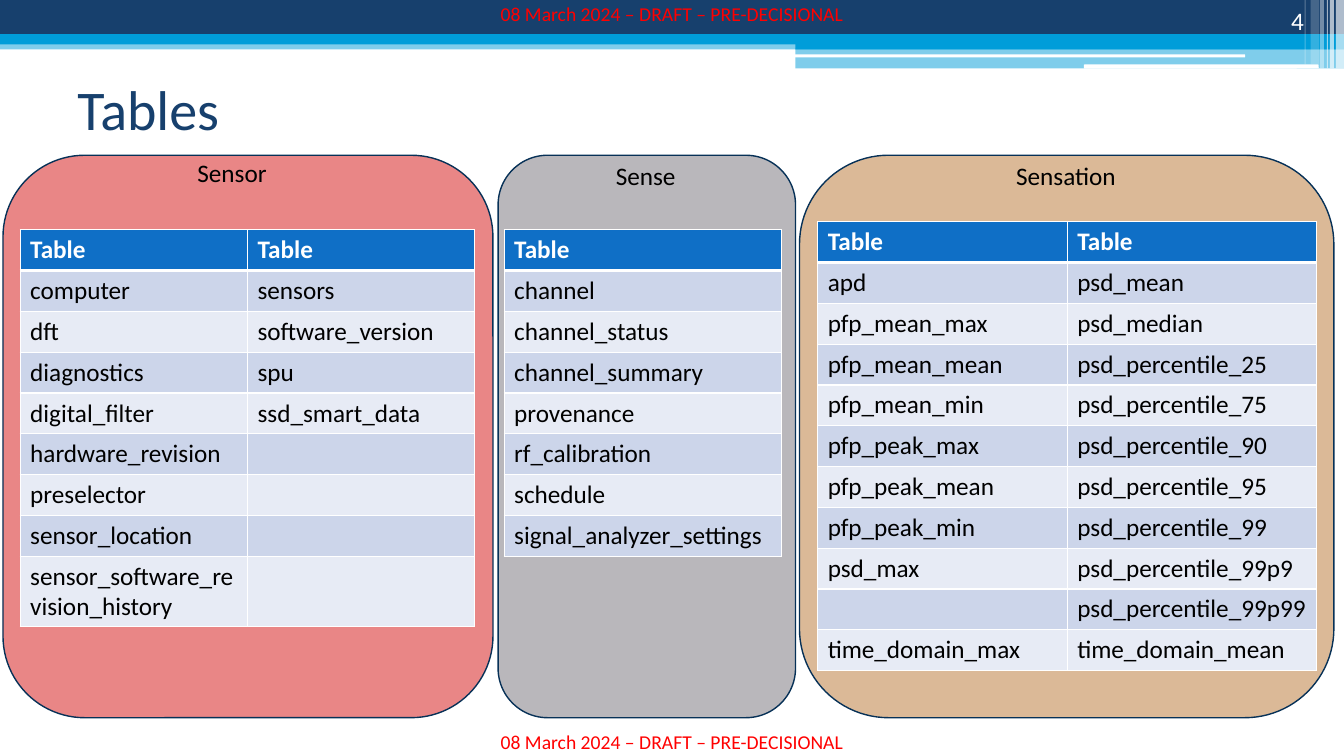
"""Build the slide that lists the database tables of each sensor group."""
import pptx
import pptx.dml.color
import pptx.enum.shapes
import pptx.enum.text
import pptx.oxml
import pptx.oxml.ns
import pptx.util

Inches = pptx.util.Inches
SHAPES = pptx.enum.shapes.MSO_SHAPE
ALIGN = pptx.enum.text.PP_ALIGN
ANCHOR = pptx.enum.text.MSO_ANCHOR

COLORS = {
    "navy": "17406D", "cyan": "009DD9", "white": "FFFFFF", "black": "000000",
    "red": "FF0000", "outline": "073157", "header": "0F6FC6",
    "band_dark": "CCD5EA", "band_light": "E7EBF5",
    "sensor": "D20404", "sense": "6C676F", "sensation": "B46B22",
}
NAMESPACE = pptx.oxml.ns.nsdecls("a")
ROW_HEIGHT = 0.405


class SlideBuilder:
    def __init__(self, slide, font="Calibri"):
        self.slide = slide
        self.font = font

    def color(self, name):
        return pptx.dml.color.RGBColor.from_string(COLORS[name])

    def add_run(self, paragraph, text, size, color, bold=False):
        run = paragraph.add_run()
        run.text = text
        run.font.name = self.font
        run.font.size = pptx.util.Pt(size)
        run.font.bold = bold
        run.font.color.rgb = self.color(color)

    def block(self, box, color, opacity=100, kind=SHAPES.RECTANGLE, outline=None):
        shape = self.slide.shapes.add_shape(kind, *map(Inches, box))
        shape.shadow.inherit = False
        shape.fill.solid()
        shape.fill.fore_color.rgb = self.color(color)
        if opacity < 100:
            fill_color = shape._element.spPr.find(".//" + pptx.oxml.ns.qn("a:srgbClr"))
            fill_color.append(pptx.oxml.parse_xml(
                f'<a:alpha {NAMESPACE} val="{opacity * 1000}"/>'))
        if outline:
            shape.line.color.rgb = self.color(outline)
            shape.line.width = pptx.util.Pt(1)
        else:
            shape.line.fill.background()

    def text(self, box, text, size, color, align=ALIGN.LEFT, anchor=ANCHOR.TOP, wrap=True):
        frame = self.slide.shapes.add_textbox(*map(Inches, box)).text_frame
        frame.word_wrap = wrap
        frame.vertical_anchor = anchor
        frame.paragraphs[0].alignment = align
        self.add_run(frame.paragraphs[0], text, size, color)

    def borders(self, cell, top, bottom):
        properties = cell._tc.get_or_add_tcPr()
        for side, points in (("L", 1), ("R", 1), ("T", top), ("B", bottom)):
            properties.append(pptx.oxml.parse_xml(
                f'<a:ln{side} {NAMESPACE} w="{points * 12700}"><a:solidFill>'
                f'<a:srgbClr val="{COLORS["white"]}"/></a:solidFill></a:ln{side}>'))

    def table(self, left, top, width, columns):
        row_count = max(map(len, columns)) + 1
        table = self.slide.shapes.add_table(
            row_count, len(columns), Inches(left), Inches(top),
            Inches(width), Inches(ROW_HEIGHT * row_count)).table
        for row in table.rows:
            row.height = Inches(ROW_HEIGHT)
        for column_index, names in enumerate(columns):
            table.columns[column_index].width = Inches(width / len(columns))
            padding = [""] * (row_count - 1 - len(names))
            for row_index, name in enumerate(["Table", *names, *padding]):
                header = row_index == 0
                band = "band_dark" if row_index % 2 else "band_light"
                cell = table.cell(row_index, column_index)
                self.borders(cell, 3 if row_index == 1 else 1, 3 if header else 1)
                cell.fill.solid()
                cell.fill.fore_color.rgb = self.color("header" if header else band)
                if name:
                    self.add_run(cell.text_frame.paragraphs[0], name, 18,
                                 "white" if header else "black", header)


BANNER = [
    ((0, 0.4, 13.33, 0.09), "cyan", 50),
    ((0, 0, 13.33, 0.34), "navy", 100),
    ((0, 0.34, 13.33, 0.1), "cyan", 100),
    ((7.89, 0.39, 5.44, 0.1), "cyan", 100),
    ((7.89, 0.48, 5.44, 0.2), "cyan", 50),
    ((7.88, 0.54, 4.47, 0.03), "white", 100, SHAPES.ROUNDED_RECTANGLE),
    ((10.75, 0.64, 2.33, 0.04), "white", 100, SHAPES.ROUNDED_RECTANGLE),
    ((13.25, 0, 0.08, 0.68), "white", 65),
    ((13.19, 0, 0.04, 0.68), "white", 65),
    ((13.16, 0, 0.01, 0.68), "white", 60),
    ((13.09, 0, 0.04, 0.68), "white", 40),
    ((13, 0, 0.08, 0.64), "white", 20),
    ((12.94, 0, 0.01, 0.64), "white", 30),
]

PANELS = [
    ("sensor", 48, 0.03, 4.86),
    ("sense", 47, 4.94, 2.95),
    ("sensation", 47, 7.93, 5.3),
]

LABELS = [
    ("Sensor", (1.86, 1.51, 0.9, 0.4)),
    ("Sense", (6.01, 1.54, 0.8, 0.4)),
    ("Sensation", (9.98, 1.54, 1.2, 0.4)),
]

TABLES = [
    (0.2, 2.28, 4.51, [
        ["computer", "dft", "diagnostics", "digital_filter", "hardware_revision",
         "preselector", "sensor_location", "sensor_software_revision_history"],
        ["sensors", "software_version", "spu", "ssd_smart_data"],
    ]),
    (5, 2.28, 2.75, [
        ["channel", "channel_status", "channel_summary", "provenance",
         "rf_calibration", "schedule", "signal_analyzer_settings"],
    ]),
    (8.11, 2.2, 4.95, [
        ["apd", "pfp_mean_max", "pfp_mean_mean", "pfp_mean_min", "pfp_peak_max",
         "pfp_peak_mean", "pfp_peak_min", "psd_max", "", "time_domain_max"],
        ["psd_mean", "psd_median", "psd_percentile_25", "psd_percentile_75",
         "psd_percentile_90", "psd_percentile_95", "psd_percentile_99",
         "psd_percentile_99p9", "psd_percentile_99p99", "time_domain_mean"],
    ]),
]


def main():
    presentation = pptx.Presentation()
    presentation.slide_width = Inches(13.33)
    presentation.slide_height = Inches(7.5)
    builder = SlideBuilder(presentation.slides.add_slide(presentation.slide_layouts[6]))

    for bar in BANNER:
        builder.block(*bar)
    for top in (-0.03, 7.19):
        builder.text((3.87, top, 5.59, 0.34), "08 March 2024 – DRAFT – PRE-DECISIONAL",
                     14, "red", ALIGN.CENTER)
    builder.text((11.92, 0, 1.11, 0.4), "4", 18, "white", ALIGN.RIGHT, ANCHOR.BOTTOM)
    builder.text((0.67, 0.69, 12, 1.17), "Tables", 40, "navy")

    for color, opacity, left, width in PANELS:
        builder.block((left, 1.54, width, 5.58), color, opacity,
                      SHAPES.ROUNDED_RECTANGLE, "outline")
    for label, box in LABELS:
        builder.text(box, label, 18, "black", wrap=False)
    for table in TABLES:
        builder.table(*table)

    presentation.save("out.pptx")


if __name__ == "__main__":
    main()
